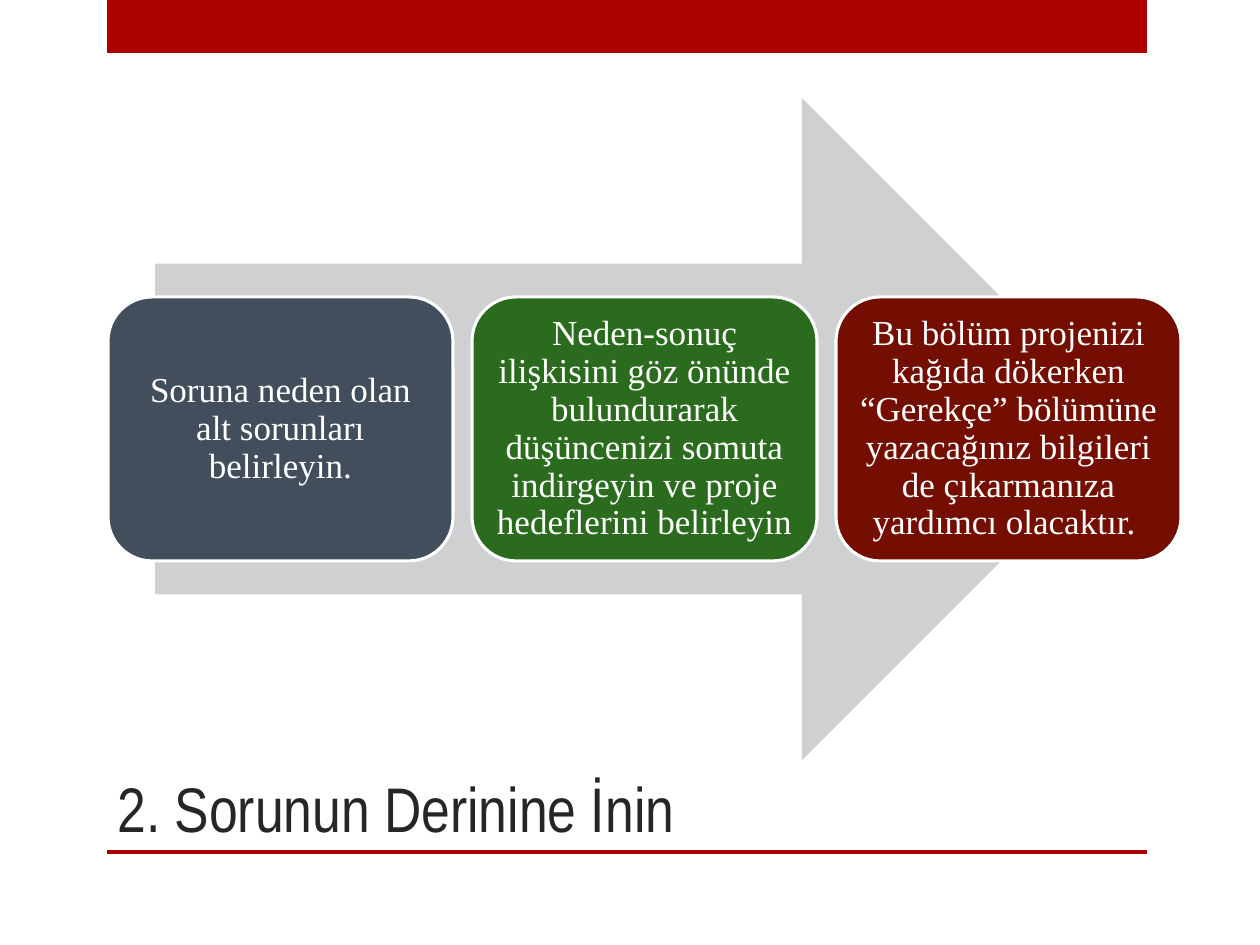
"""Build a slide with three cards laid over a wide arrow."""
from pptx import Presentation, util as u
from pptx.dml.color import RGBColor
from pptx.enum import shapes, text

SCALE = 914400 / 126
WHITE, RED, GREY, INK = "FFFFFF", "AD0101", "CFD0D2", "262626"
TITLE = "2. Sorunun Derinine İnin"
CARDS = [
    ("Soruna neden olan alt sorunları belirleyin.", "424E5B"),
    ("Neden-sonuç ilişkisini göz önünde bulundurarak düşüncenizi somuta "
     "indirgeyin ve proje hedeflerini belirleyin", "2B6B1D"),
    ("Bu bölüm projenizi kağıda dökerken “Gerekçe” bölümüne yazacağınız "
     "bilgileri de çıkarmanıza yardımcı olacaktır. ", "730E00"),
]
BARS = [(107, 0, 1040, 53), (107, 850, 1040, 4)]
ARROW = (155, 98, 978, 662)
TITLE_AREA = (105, 630, 935, 221)
CARD_LEFT, CARD_TOP, CARD_WIDTH, CARD_HEIGHT, CARD_GAP = 108, 297, 345, 264, 19


def px(length):
    return u.Emu(round(length * SCALE))


def color(code):
    return RGBColor.from_string(code)


def add_box(page, kind, area, fill, line=None):
    box = page.shapes.add_shape(kind, *map(px, area))
    box.shadow.inherit = False
    box.fill.solid()
    box.fill.fore_color.rgb = color(fill)
    if line:
        box.line.color.rgb = color(line)
        box.line.width = u.Pt(1.75)
    else:
        box.line.fill.background()
    return box


def write(box, words, *, font, size, ink, align, anchor, spacing=1.0, inset=None):
    frame = box.text_frame
    frame.word_wrap = True
    frame.vertical_anchor = anchor
    if inset is not None:
        frame.margin_left = frame.margin_right = px(inset)
        frame.margin_top = frame.margin_bottom = px(inset)
    para = frame.paragraphs[0]
    para.alignment = align
    para.line_spacing = spacing
    span = para.add_run()
    span.text = words
    span.font.name = font
    span.font.size = u.Pt(size)
    span.font.color.rgb = color(ink)


def main():
    deck = Presentation()
    deck.slide_width, deck.slide_height = px(1260), px(945)
    page = deck.slides.add_slide(deck.slide_layouts[6])
    kinds = shapes.MSO_SHAPE

    for area in BARS:
        add_box(page, kinds.RECTANGLE, area, RED)
    title = page.shapes.add_textbox(*map(px, TITLE_AREA))
    write(title, TITLE, font="Arial Narrow", size=36, ink=INK,
          align=text.PP_ALIGN.LEFT, anchor=text.MSO_ANCHOR.BOTTOM)

    add_box(page, kinds.RIGHT_ARROW, ARROW, GREY)
    for index, (words, fill) in enumerate(CARDS):
        left = CARD_LEFT + index * (CARD_WIDTH + CARD_GAP)
        area = (left, CARD_TOP, CARD_WIDTH, CARD_HEIGHT)
        card = add_box(page, kinds.ROUNDED_RECTANGLE, area, fill, line=WHITE)
        write(card, words, font="Times New Roman", size=20, ink=WHITE,
              align=text.PP_ALIGN.CENTER, anchor=text.MSO_ANCHOR.MIDDLE,
              spacing=0.9, inset=10)

    deck.save("out.pptx")


if __name__ == "__main__":
    main()
